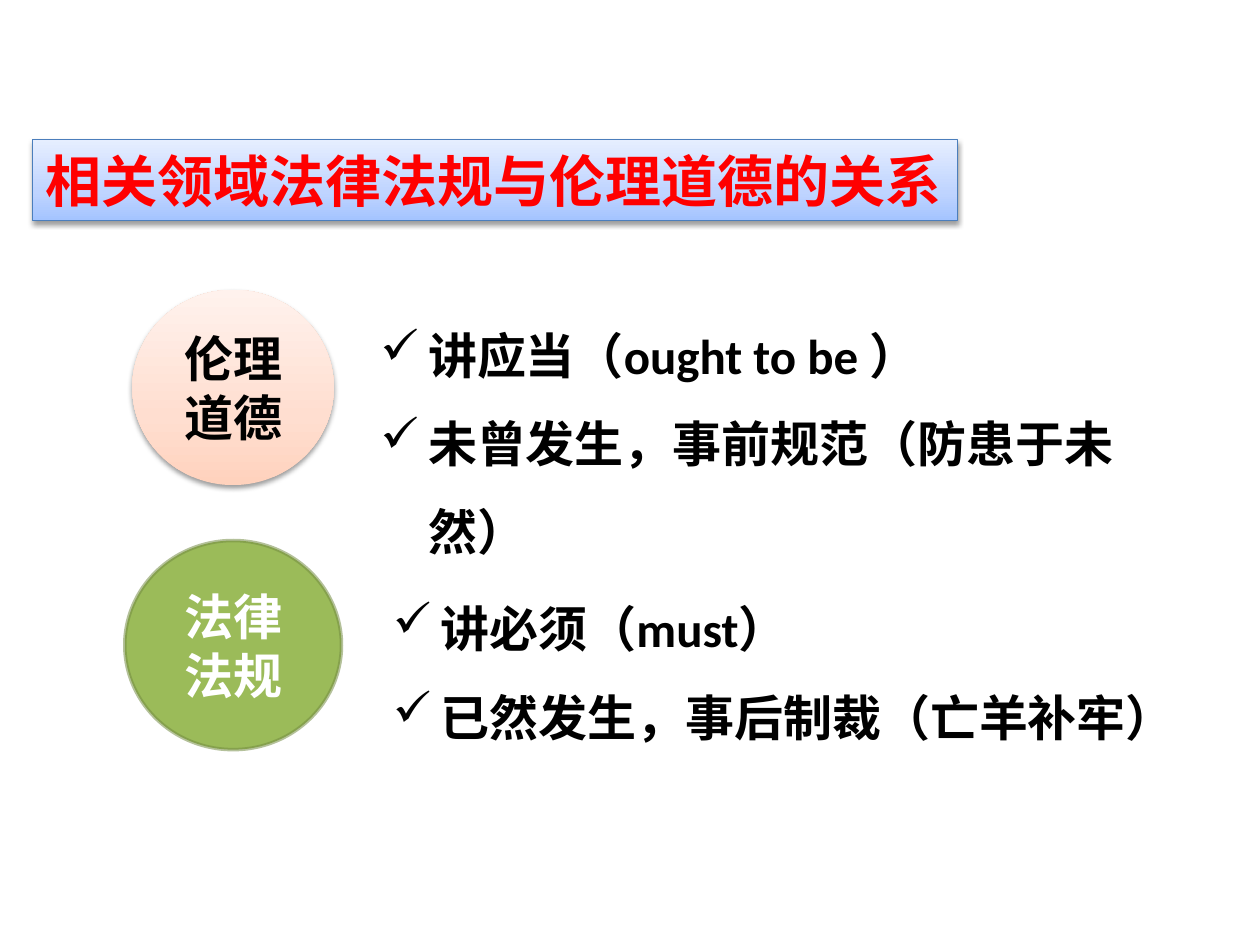
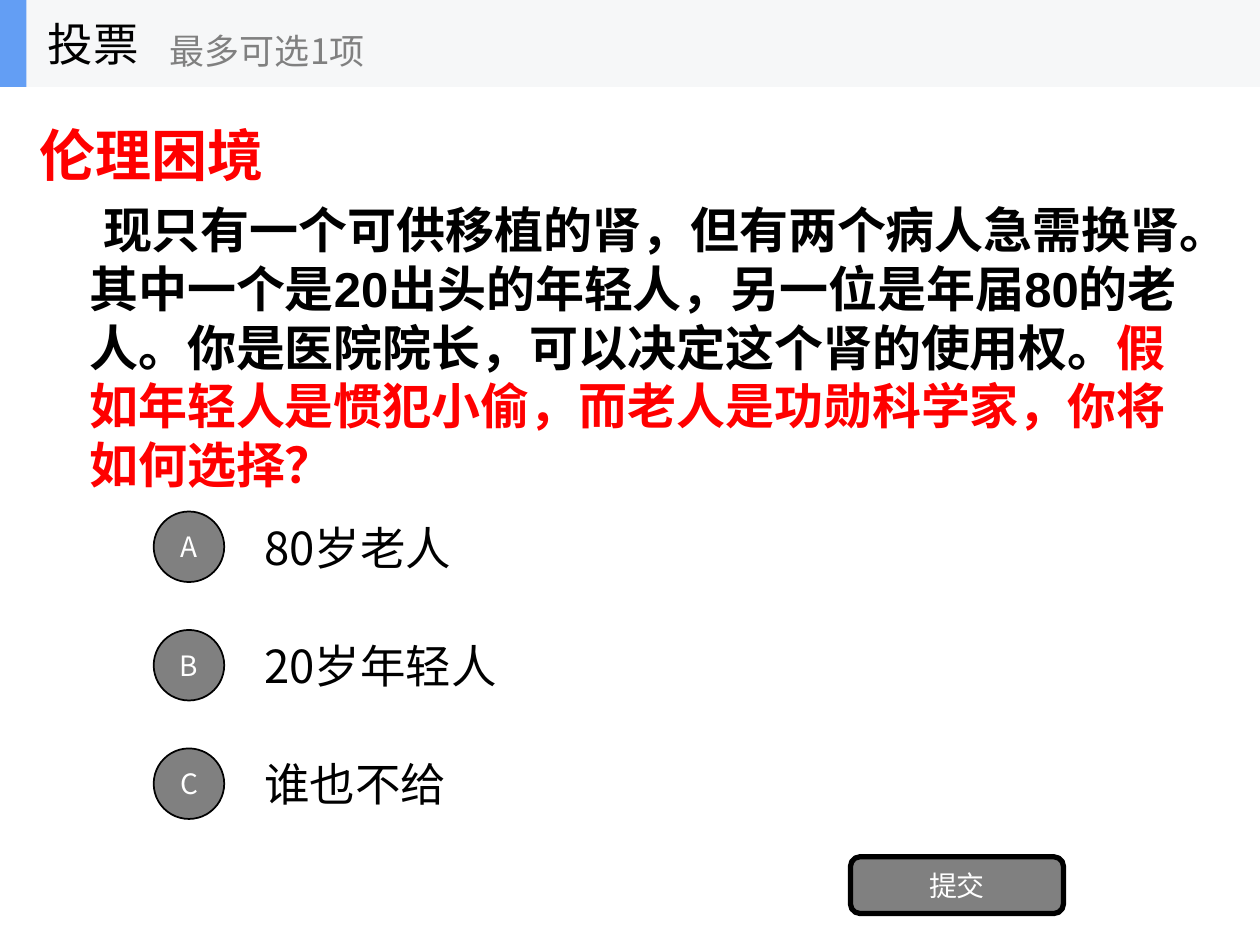
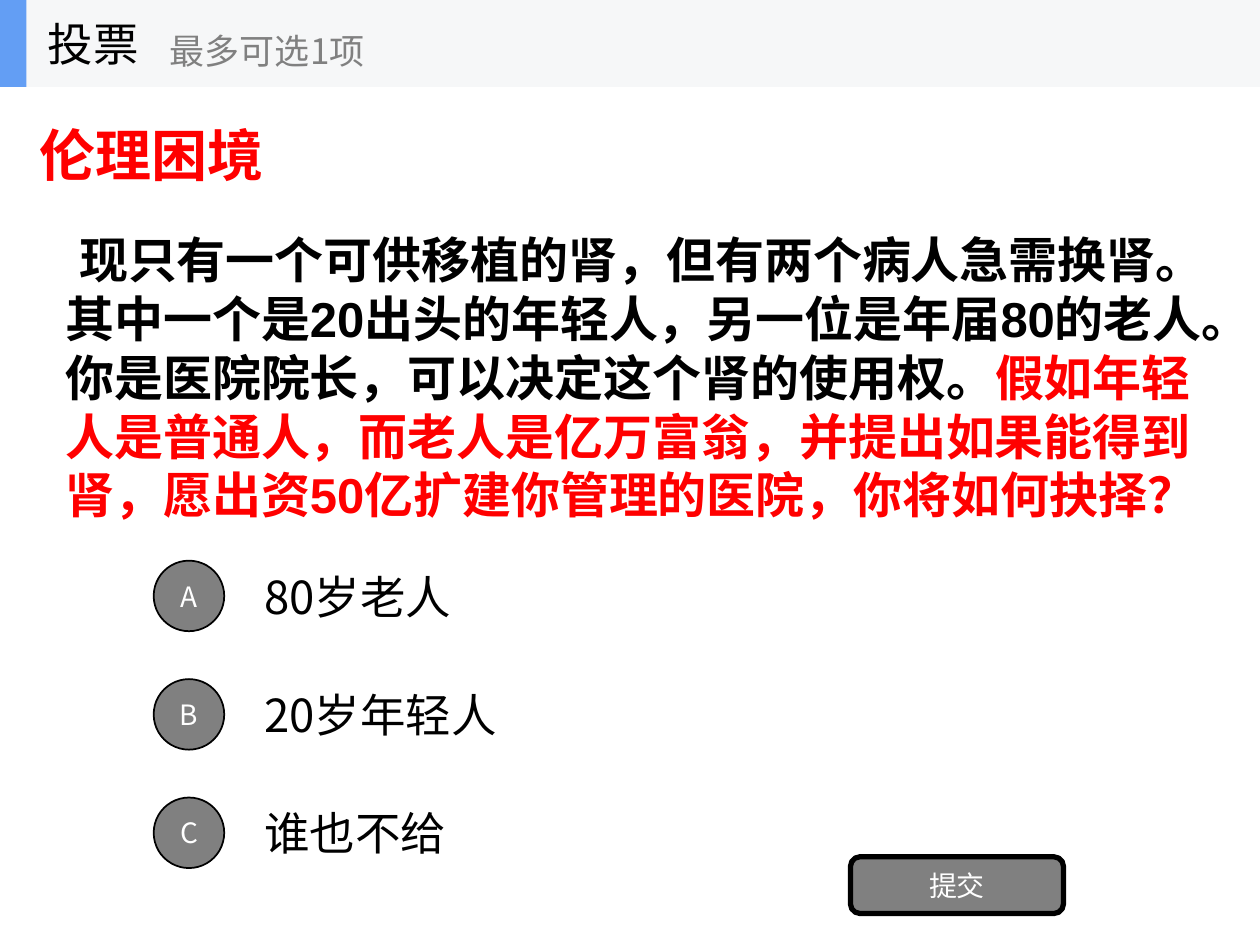
from dataclasses import dataclass

from lxml.etree import SubElement
from pptx import Presentation
from pptx.dml.color import RGBColor
from pptx.enum.shapes import MSO_SHAPE
from pptx.enum.text import MSO_ANCHOR, MSO_AUTO_SIZE, PP_ALIGN
from pptx.oxml.ns import qn
from pptx.util import Inches, Pt


@dataclass(frozen=True)
class Theme:
    black: str = "000000"
    white: str = "FFFFFF"
    red: str = "FF0000"
    gray: str = "808080"
    green: str = "9BBB59"
    green_edge: str = "738A42"
    blue_edge: str = "4B7EBC"
    band: str = "F6F7F8"
    accent: str = "639EF4"
    blue_blend: tuple = ("A4C4FF", "BFD4FF", "E6EEFF")
    peach_blend: tuple = ("FFD2BD", "FFDED0", "FFF2ED")
    cjk: str = "Noto Sans CJK SC"
    latin: str = "Calibri"
    body_latin: str = "Arial"
    title_size: int = 32
    body_size: int = 28
    option_size: int = 26
    hint_size: int = 20
    label_size: int = 16


THEME = Theme()


def write(shape, paragraphs, size, font=THEME.cjk, bold=False,
          align=PP_ALIGN.LEFT, anchor=MSO_ANCHOR.MIDDLE, wrap=True):
    """Fill a shape with paragraphs, each a list of (text, colour) runs."""
    frame = shape.text_frame
    frame.auto_size = MSO_AUTO_SIZE.NONE
    frame.word_wrap = wrap
    frame.vertical_anchor = anchor
    for number, runs in enumerate(paragraphs):
        paragraph = frame.add_paragraph() if number else frame.paragraphs[0]
        paragraph.alignment = align
        for text, color in runs:
            run = paragraph.add_run()
            run.text = text
            run.font.size = Pt(size)
            run.font.bold = bold
            run.font.name = font
            run.font.color.rgb = RGBColor.from_string(color)
            SubElement(run.font._element, qn("a:ea"), typeface=THEME.cjk)


def paint(shape, fill, edge=None, width=1):
    """Set a plain fill, or a raised three-colour blend, and the outline."""
    shape.shadow.inherit = False
    if edge:
        shape.line.color.rgb = RGBColor.from_string(edge)
        shape.line.width = Pt(width)
    else:
        shape.line.fill.background()
    if isinstance(fill, str):
        shape.fill.solid()
        shape.fill.fore_color.rgb = RGBColor.from_string(fill)
        return
    shape.fill.gradient()
    shape.fill.gradient_angle = 90
    properties = shape._element.spPr
    stops = properties.find(".//" + qn("a:gsLst"))
    stops.clear()
    for position, color in zip((0, 35, 100), fill):
        stop = SubElement(stops, qn("a:gs"), pos=str(position * 1000))
        SubElement(stop, qn("a:srgbClr"), val=color)
    shadow = SubElement(properties.find(qn("a:effectLst")), qn("a:outerShdw"),
                        blurRad=str(Pt(3.1)), dist=str(Pt(1.6)),
                        dir="5400000", rotWithShape="0")
    shade = SubElement(shadow, qn("a:srgbClr"), val=THEME.black)
    SubElement(shade, qn("a:alpha"), val="38000")


deck = Presentation()
deck.slide_width, deck.slide_height = Inches(10), Inches(7.5)
title_only = deck.slide_layouts[5]

# Slide 1: ethics compared with law
slide = deck.slides.add_slide(title_only)
title = slide.shapes.title
title.left, title.top = Inches(0.26), Inches(1.11)
title.width, title.height = Inches(7.34), Inches(0.64)
paint(title, THEME.blue_blend, THEME.blue_edge, 0.75)
write(title, [[("相关领域法律法规与伦理道德的关系", THEME.red)]], THEME.title_size,
      THEME.latin, bold=True, anchor=MSO_ANCHOR.TOP, wrap=False)

concepts = [
    (("法律", "法规"), (0.99, 4.29, 1.72, 1.66), THEME.green, THEME.green_edge,
     THEME.white, ("讲必须（must）", "已然发生，事后制裁（亡羊补牢）"),
     (3.02, 4.47, 6.78, 1.51)),
    (("伦理", "道德"), (1.05, 2.3, 1.6, 1.55), THEME.peach_blend, None,
     THEME.black, ("讲应当（ought to be ）", "未曾发生，事前规范（防患于未然）"),
     (2.92, 2.3, 6.6, 1.51)),
]
for name, circle_box, fill, edge, name_color, points, points_box in concepts:
    circle = slide.shapes.add_shape(MSO_SHAPE.OVAL, *map(Inches, circle_box))
    paint(circle, fill, edge, 2)
    if edge:
        edge_color = circle.line._ln.find(".//" + qn("a:srgbClr"))
        SubElement(edge_color, qn("a:alpha"), val="53000")
    write(circle, [[(line, name_color)] for line in name], THEME.body_size,
          bold=True, align=PP_ALIGN.CENTER)

    traits = slide.shapes.add_textbox(*map(Inches, points_box))
    write(traits, [[(point, THEME.black)] for point in points],
          THEME.body_size, THEME.latin, bold=True, anchor=MSO_ANCHOR.TOP)
    for paragraph in traits.text_frame.paragraphs:
        paragraph.line_spacing = 1.5
        layout = paragraph._p.get_or_add_pPr()
        layout.set("marL", str(Inches(0.38)))
        layout.set("indent", str(Inches(-0.38)))
        SubElement(layout, qn("a:buChar"), char="✓")

# Slides 2 and 3: the same vote under two conditions
situation = ("现只有一个可供移植的肾，但有两个病人急需换肾。其中一个是20出头的年轻人，"
             "另一位是年届80的老人。你是医院院长，可以决定这个肾的使用权。")
options = {"A": "80岁老人", "B": "20岁年轻人", "C": "谁也不给"}
option_step = 0.94
polls = [
    ("假如年轻人是惯犯小偷，而老人是功勋科学家，你将如何选择？",
     (0.61, 1.4, 8.95, 2.7), 3.99),
    ("假如年轻人是普通人，而老人是亿万富翁，并提出如果能得到肾，"
     "愿出资50亿扩建你管理的医院，你将如何抉择？",
     (0.42, 1.64, 9.32, 2.7), 4.38),
]
for condition, question_box, options_top in polls:
    slide = deck.slides.add_slide(title_only)
    title = slide.shapes.title
    title.left, title.top = Inches(0.21), Inches(0.91)
    title.width, title.height = Inches(1.99), Inches(0.64)
    write(title, [[("伦理困境", THEME.red)]], THEME.title_size, THEME.latin,
          bold=True, anchor=MSO_ANCHOR.TOP, wrap=False)

    question = slide.shapes.add_textbox(*map(Inches, question_box))
    write(question, [[(situation, THEME.black), (condition, THEME.red)]],
          THEME.body_size, THEME.body_latin, bold=True)
    opening = question.text_frame.paragraphs[0]._p.get_or_add_pPr()
    opening.set("indent", str(Inches(0.11)))

    for row, (letter, answer) in enumerate(options.items()):
        top = options_top + row * option_step
        answer_text = slide.shapes.add_textbox(
            Inches(2), Inches(top), Inches(7), Inches(0.7))
        write(answer_text, [[(answer, THEME.black)]], THEME.option_size)
        badge = slide.shapes.add_shape(
            MSO_SHAPE.OVAL, Inches(1.22), Inches(top + 0.07),
            Inches(0.56), Inches(0.56))
        paint(badge, THEME.gray, THEME.black)
        write(badge, [[(letter, THEME.white)]], THEME.label_size,
              align=PP_ALIGN.CENTER)

    submit = slide.shapes.add_shape(
        MSO_SHAPE.ROUNDED_RECTANGLE, Inches(6.75), Inches(6.8),
        Inches(1.69), Inches(0.45))
    paint(submit, THEME.gray, THEME.black, 3)
    write(submit, [[("提交", THEME.white)]], THEME.label_size,
          align=PP_ALIGN.CENTER)

    header = slide.shapes.add_group_shape()
    for width, color in ((10, THEME.band), (0.21, THEME.accent)):
        band = header.shapes.add_shape(
            MSO_SHAPE.RECTANGLE, 0, 0, Inches(width), Inches(0.69))
        paint(band, color)
    for text, box, size, color in (
        ("投票", (0.28, 0, 2.08, 0.69), THEME.option_size, THEME.black),
        ("最多可选1项", (1.25, 0.12, 2.5, 0.56), THEME.hint_size, THEME.gray),
    ):
        caption = header.shapes.add_textbox(*map(Inches, box))
        write(caption, [[(text, color)]], size, wrap=False)

deck.save("out.pptx")
